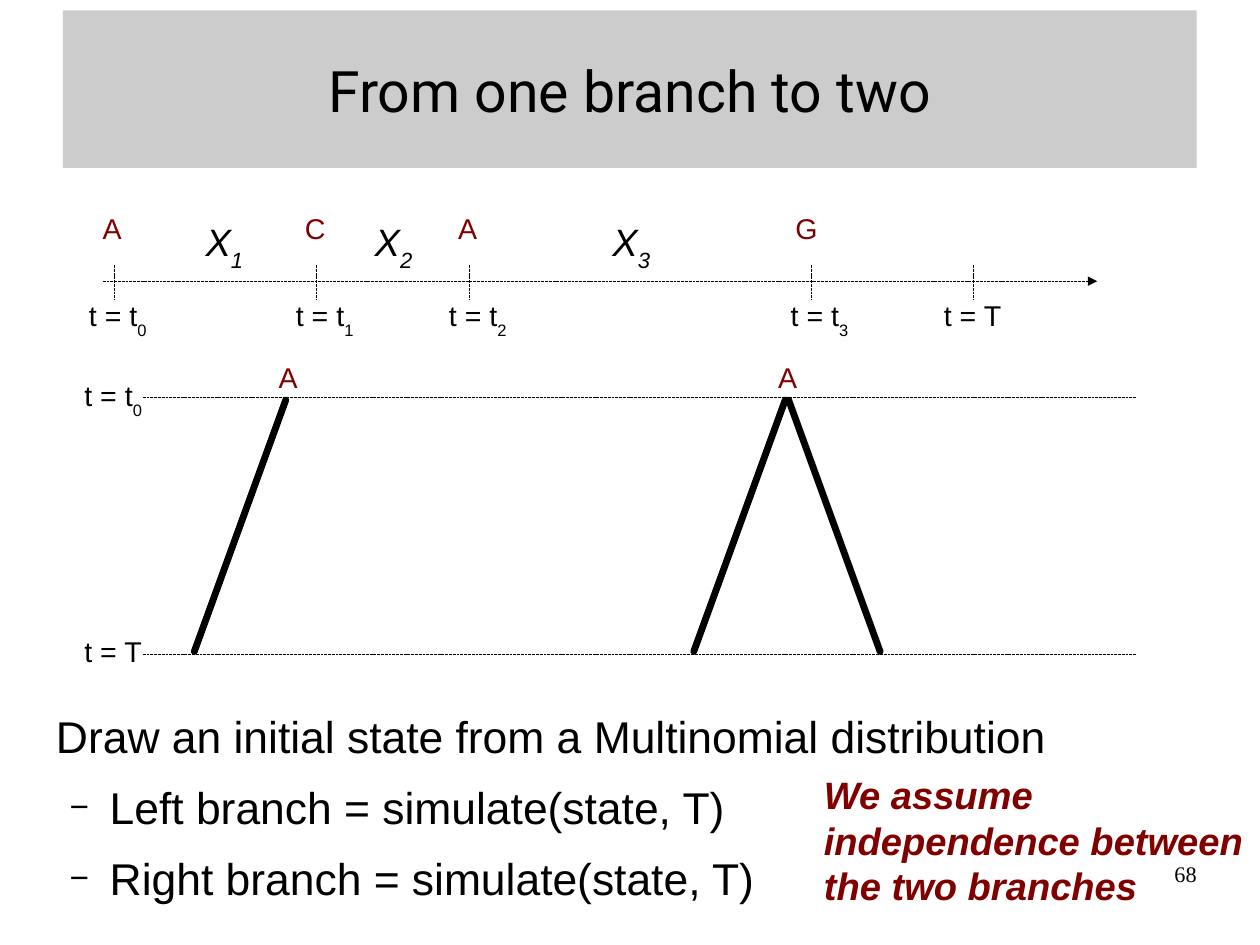
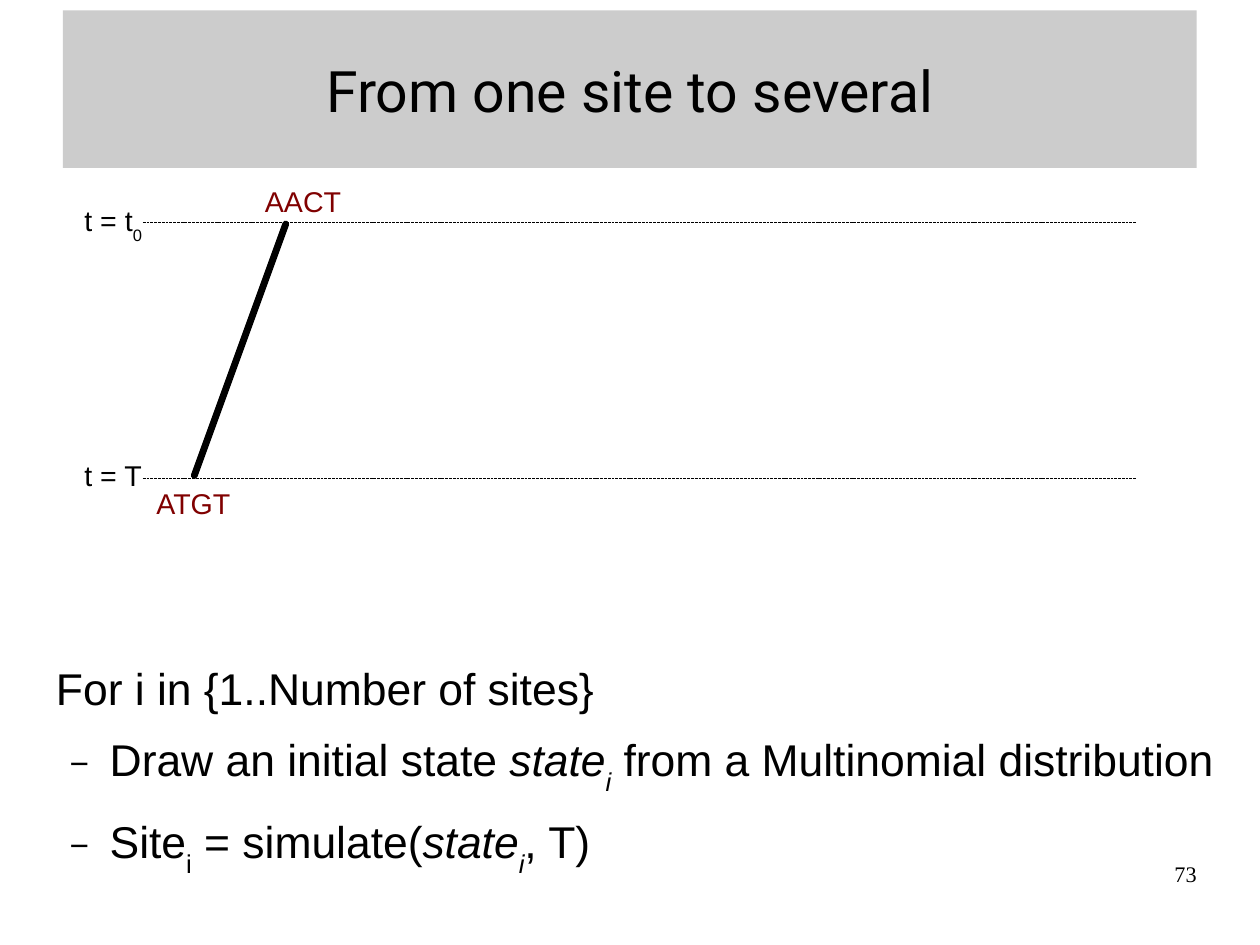
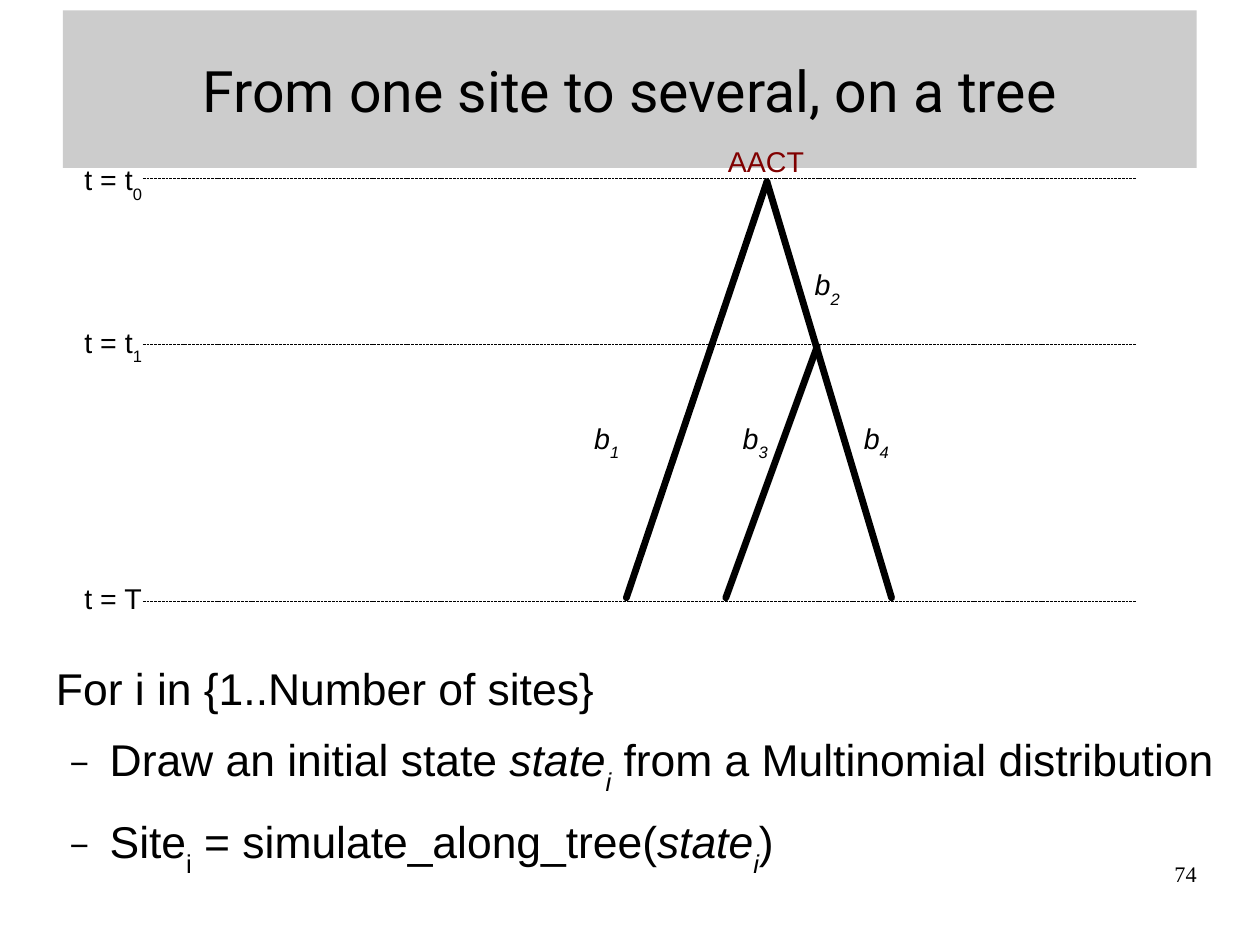
from dataclasses import dataclass
from typing import NamedTuple

from lxml.etree import SubElement
from pptx import Presentation
from pptx.dml.color import RGBColor
from pptx.enum.dml import MSO_LINE
from pptx.enum.shapes import MSO_CONNECTOR, MSO_SHAPE
from pptx.enum.text import MSO_ANCHOR as Anchor, PP_ALIGN as Align
from pptx.oxml.ns import qn
from pptx.util import Inches, Pt


@dataclass(frozen=True)
class Theme:
    ink: str = "000000"
    accent: str = "800000"
    band: str = "CCCCCC"
    body_font: str = "Arial"
    title_font: str = "Roboto"
    number_font: str = "Times New Roman"
    title: float = 36
    body: float = 28
    emphasis: float = 24
    label: float = 18
    number: float = 14
    hairline: float = 0.6
    branch: float = 4.31


class Run(NamedTuple):
    text: str
    italic: bool = False
    sub: bool = False


class Box(NamedTuple):
    x: float
    y: float
    w: float
    h: float


class Level(NamedTuple):
    y: float
    runs: list[Run]
    lift: float = 0.22


class Label(NamedTuple):
    x: float
    y: float
    runs: list[Run]
    color: str
    size: float


class Tick(NamedTuple):
    x: float
    time_x: float
    time: list[Run]


class Line(NamedTuple):
    x1: float
    y1: float
    x2: float
    y2: float


T = Theme()
CM_PER_INCH = 2.54
SLIDE_W, SLIDE_H = 28 / CM_PER_INCH, 21 / CM_PER_INCH
TITLE_BOX = Box(0.55, 0.09, 9.92, 1.38)
NUMBER_BOX = Box(7.9, 7.53, 2.57, 0.57)
LEVEL_X1, LEVEL_X2, LEVEL_LABEL_X = 1.25, 9.94, 0.64
END_TIME = [Run("t = T")]


def time(i: int) -> list[Run]:
    return [Run("t = t"), Run(str(i), sub=True)]


def indexed(name: str, i: str) -> list[Run]:
    return [Run(name, italic=True), Run(i, italic=True, sub=True)]


def state(text: str, x: float, y: float) -> Label:
    return Label(x, y, [Run(text)], T.accent, T.label)


def add_bullet(p) -> None:
    pPr = p._p.get_or_add_pPr()
    pPr.set("lvl", "1")
    pPr.set("marL", str(Inches(0.94)))
    pPr.set("indent", str(Inches(-0.35)))
    color = SubElement(pPr, qn("a:buClr"))
    SubElement(color, qn("a:srgbClr")).set("val", T.ink)
    SubElement(pPr, qn("a:buSzPct")).set("val", "75000")
    SubElement(pPr, qn("a:buFont")).set("typeface", T.body_font)
    SubElement(pPr, qn("a:buChar")).set("char", "−")


def write(tf, paras: list[list[Run]], *, size: float = T.label,
          font: str = T.body_font, color: str = T.ink, bold: bool = False,
          align: Align = Align.LEFT, anchor: Anchor = Anchor.TOP,
          inset: tuple[float, float] = (0.1, 0.05),
          outline: bool = False) -> None:
    tf.word_wrap = True
    tf.vertical_anchor = anchor
    tf.margin_left = tf.margin_right = Inches(inset[0])
    tf.margin_top = tf.margin_bottom = Inches(inset[1])
    for n, runs in enumerate(paras):
        p = tf.add_paragraph() if n else tf.paragraphs[0]
        p.alignment = align
        if n and outline:
            add_bullet(p)
            p.space_before = Pt(11.3)
        elif outline:
            p._p.get_or_add_pPr().set("marL", str(Inches(0.47)))
        for run in runs:
            r = p.add_run()
            r.text = run.text
            r.font.size = Pt(size)
            r.font.name = font
            r.font.bold = bold
            r.font.italic = run.italic
            r.font.color.rgb = RGBColor.from_string(color)
            if run.sub:
                r.font._element.set("baseline", "-33000")


def add_text(s, box: Box, paras: list[list[Run]], **fmt) -> None:
    write(s.shapes.add_textbox(*map(Inches, box)).text_frame, paras, **fmt)


def add_line(s, line: Line, *, width: float = T.hairline,
             dash: MSO_LINE | None = None, arrow: bool = False) -> None:
    c = s.shapes.add_connector(MSO_CONNECTOR.STRAIGHT, *map(Inches, line))
    c.line.color.rgb = RGBColor.from_string(T.ink)
    c.line.width = Pt(width)
    ln = c.line._get_or_add_ln()
    if dash:
        c.line.dash_style = dash
    else:
        ln.set("cap", "rnd")
    if arrow:
        SubElement(ln, qn("a:tailEnd")).set("type", "triangle")
    SubElement(c._element.spPr, qn("a:effectLst"))


def add_slide(prs, title: str, number: int):
    s = prs.slides.add_slide(prs.slide_layouts[6])
    sp = s.shapes.add_shape(MSO_SHAPE.RECTANGLE, *map(Inches, TITLE_BOX))
    sp.shadow.inherit = False
    sp.fill.solid()
    sp.fill.fore_color.rgb = RGBColor.from_string(T.band)
    sp.line.fill.background()
    write(sp.text_frame, [[Run(title)]], size=T.title, font=T.title_font,
          align=Align.CENTER, anchor=Anchor.MIDDLE, inset=(0, 0))
    add_text(s, NUMBER_BOX, [[Run(str(number))]], size=T.number,
             font=T.number_font, align=Align.RIGHT, inset=(0, 0))
    return s


def add_labels(s, labels: list[Label]) -> None:
    for label in labels:
        add_text(s, Box(label.x, label.y, 1, 0.44), [label.runs],
                 color=label.color, size=label.size)


def add_tree(s, levels: list[Level], branches: list[Line],
             labels: list[Label]) -> None:
    for level in levels:
        add_line(s, Line(LEVEL_X1, level.y, LEVEL_X2, level.y),
                 dash=MSO_LINE.SQUARE_DOT)
        add_text(s, Box(LEVEL_LABEL_X, level.y - level.lift, 0.9, 0.44),
                 [level.runs])
    for branch in branches:
        add_line(s, branch, width=T.branch)
    add_labels(s, labels)


def add_timeline(s, ticks: list[Tick], labels: list[Label]) -> None:
    add_line(s, Line(0.9, 2.46, 9.6, 2.46), dash=MSO_LINE.SQUARE_DOT, arrow=True)
    for tick in ticks:
        add_line(s, Line(tick.x, 2.32, tick.x, 2.62), dash=MSO_LINE.SQUARE_DOT)
        add_text(s, Box(tick.time_x, 2.56, 0.9, 0.44), [tick.time])
    add_labels(s, labels)


def add_outline(s, y: float, h: float, paras: list[list[Run]]) -> None:
    add_text(s, Box(0.02, y, 10.8, h), paras, size=T.body, inset=(0, 0),
             outline=True)


def add_site_loop(s, call: str, ending: str) -> None:
    add_outline(s, 5.78, 2.4, [
        [Run("For i in {1..Number of sites}")],
        [Run("Draw an initial state "), *indexed("state", "i"),
         Run(" from a Multinomial distribution")],
        [Run("Site"), Run("i", sub=True), Run(f" = {call}("),
         *indexed("state", "i"), Run(ending)],
    ])


def two_branches(prs) -> None:
    s = add_slide(prs, "From one branch to two", 68)
    ticks = [Tick(1, 0.68, time(0)), Tick(2.77, 2.49, time(1)),
             Tick(4.11, 3.83, time(2)), Tick(7.1, 6.82, time(3)),
             Tick(8.52, 8.16, END_TIME)]
    waits = [Label(x, 1.86, indexed("X", str(i)), T.ink, T.emphasis)
             for i, x in enumerate((1.7, 3.18, 5.26), 1)]
    states = [state(base, x, 1.8)
              for base, x in zip("ACAG", (0.8, 2.57, 3.91, 6.86))]
    add_timeline(s, ticks, waits + states)
    add_tree(s, [Level(3.48, time(0)), Level(5.73, END_TIME, lift=0.23)],
             [Line(2.5, 3.5, 1.7, 5.7), Line(6.87, 3.5, 6.07, 5.7),
              Line(6.9, 3.5, 7.7, 5.7)],
             [state("A", 2.34, 3.1), state("A", 6.71, 3.1)])
    add_outline(s, 6.2, 1.9, [
        [Run("Draw an initial state from a Multinomial distribution")],
        *([Run(f"{side} branch = simulate(state, T)")]
          for side in ("Left", "Right")),
    ])
    add_text(s, Box(7.11, 6.7, 3.91, 1.28),
             [[Run("We assume independence between the two branches", italic=True)]],
             size=T.emphasis, color=T.accent, bold=True)


def several_sites(prs) -> None:
    s = add_slide(prs, "From one site to several", 73)
    add_tree(s, [Level(1.95, time(0)), Level(4.19, END_TIME, lift=0.23)],
             [Line(2.5, 1.96, 1.7, 4.16)],
             [state("AACT", 2.22, 1.56), state("ATGT", 1.27, 4.2)])
    add_site_loop(s, "simulate", ", T)")


def sites_on_tree(prs) -> None:
    s = add_slide(prs, "From one site to several, on a tree", 74)
    spots = [(5.1, 3.63), (7.03, 2.29), (6.4, 3.63), (7.46, 3.63)]
    names = [Label(x, y, indexed("b", str(i)), T.ink, T.label)
             for i, (x, y) in enumerate(spots, 1)]
    add_tree(s, [Level(1.56, time(0), lift=0.19), Level(3.01, time(1)),
                 Level(5.26, END_TIME, lift=0.23)],
             [Line(6.71, 1.59, 5.48, 5.23), Line(7.15, 3.03, 6.35, 5.23),
              Line(6.71, 1.59, 7.8, 5.23)],
             [state("AACT", 6.27, 1.21), *names])
    add_site_loop(s, "simulate_along_tree", ")")


def main() -> None:
    prs = Presentation()
    prs.slide_width, prs.slide_height = Inches(SLIDE_W), Inches(SLIDE_H)
    for build in (two_branches, several_sites, sites_on_tree):
        build(prs)
    prs.save("out.pptx")


if __name__ == "__main__":
    main()
